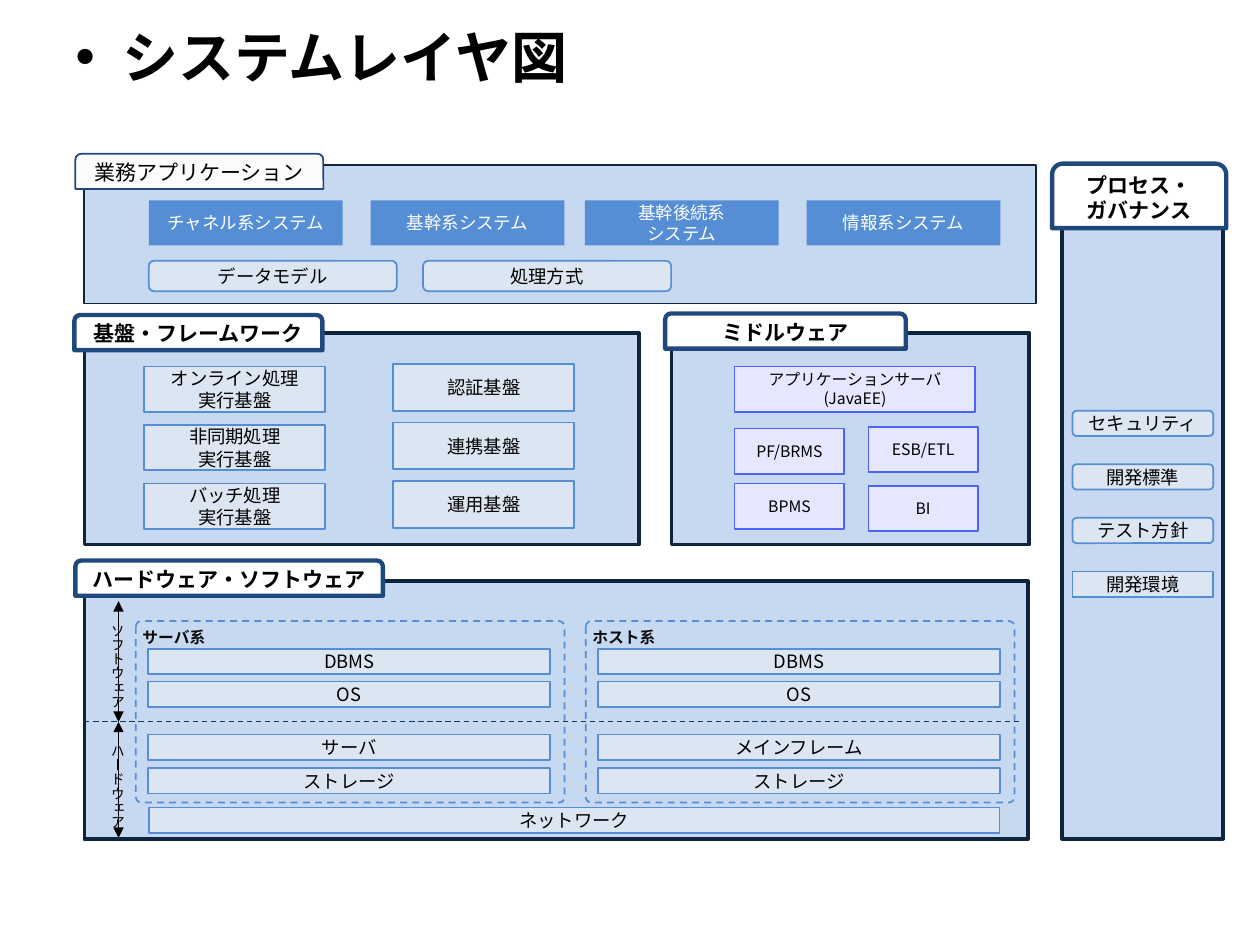
from dataclasses import dataclass

from lxml.etree import SubElement
from pptx import Presentation
from pptx.dml.color import RGBColor
from pptx.enum.dml import MSO_LINE
from pptx.enum.shapes import MSO_CONNECTOR, MSO_SHAPE
from pptx.enum.text import MSO_ANCHOR, PP_ALIGN
from pptx.oxml.ns import qn
from pptx.util import Cm, Pt


@dataclass(frozen=True)
class Theme:
    """Fonts, colours and type sizes of the slide."""
    font: str = "Noto Sans CJK JP"
    title_font: str = "Calibri"
    black: str = "000000"
    white: str = "FFFFFF"
    label: str = "0D0D0D"
    panel: str = "C6D9F1"
    panel_line: str = "0F243E"
    tab_line: str = "1F497D"
    soft: str = "FCFBF9"
    item: str = "DCE6F2"
    blue: str = "558ED5"
    lilac: str = "E4E7FE"
    violet: str = "4E62FA"
    divider: str = "17375E"
    title: float = 32
    heading: float = 12
    body: float = 10.5
    system: float = 10
    small: float = 9
    axis: float = 8


T = Theme()
RECT, ROUND = MSO_SHAPE.RECTANGLE, MSO_SHAPE.ROUNDED_RECTANGLE
TAB = MSO_SHAPE.ROUND_2_SAME_RECTANGLE
INSETS = {f"margin_{side}": Cm(0.1) for side in ("left", "top", "right", "bottom")}
ITEM = dict(fill=T.item, line=T.blue)
SYSTEM = dict(fill=T.blue, size=T.system, color=T.white)
PRODUCT = dict(fill=T.lilac, line=T.violet, size=T.small)


def add_text(sp, text, size, color=T.black, bold=False, font=T.font,
             align=PP_ALIGN.CENTER, **frame):
    """Write each line of the text as one formatted paragraph."""
    tf = sp.text_frame
    for name, value in ({"word_wrap": True} | frame).items():
        setattr(tf, name, value)
    tf.text = text
    for p in tf.paragraphs:
        p.alignment = align
        r = p.runs[0]
        for name, value in dict(name=font, size=Pt(size), bold=bold).items():
            setattr(r.font, name, value)
        r.font.color.rgb = RGBColor.from_string(color)
    for props in sp.element.iter(qn("a:rPr")):
        SubElement(props, qn("a:ea"), typeface=T.font)


def add_box(s, x, y, w, h, text="", kind=RECT, fill=None, line=None, width=1,
            size=T.body, adj=None, **fmt):
    """Draw one preset shape with its optional text."""
    sp = s.shapes.add_shape(kind, Cm(x), Cm(y), Cm(w), Cm(h))
    sp.shadow.inherit = False
    if adj is not None:
        sp.adjustments[0] = adj
    if fill:
        sp.fill.solid()
        sp.fill.fore_color.rgb = RGBColor.from_string(fill)
    else:
        sp.fill.background()
    if line:
        sp.line.color.rgb = RGBColor.from_string(line)
        sp.line.width = Pt(width)
    else:
        sp.line.fill.background()
    if text:
        frame = INSETS | dict(vertical_anchor=MSO_ANCHOR.MIDDLE)
        add_text(sp, text, size, **(frame | fmt))
    return sp


def add_line(s, x1, y1, x2, y2, color, width, dash=None, arrows=False):
    """Draw a straight line, dashed or with arrowheads at both ends."""
    cn = s.shapes.add_connector(MSO_CONNECTOR.STRAIGHT, Cm(x1), Cm(y1), Cm(x2), Cm(y2))
    cn.line.color.rgb = RGBColor.from_string(color)
    cn.line.width = Pt(width)
    if dash:
        cn.line.dash_style = dash
    props = cn.element.spPr
    if arrows:
        for end in ("a:headEnd", "a:tailEnd"):
            SubElement(props.find(qn("a:ln")), qn(end), type="triangle")
    SubElement(props, qn("a:effectLst"))


def add_panel(s, box, title, tab, width=2, tab_fill=T.white, tab_width=2.5, bold=True):
    """Draw a panel and the title tab on its top left corner."""
    x, y, w, h = box
    dx, dy, tw, th = tab
    add_box(s, x, y, w, h, fill=T.panel, line=T.panel_line, width=width)
    add_box(s, x + dx, y + dy, tw, th, title, TAB, tab_fill, T.tab_line, tab_width,
            T.heading, bold=bold, word_wrap=False)


def add_title(s, x, y, w, h):
    """Place the bulleted slide title."""
    sp = s.shapes.add_textbox(Cm(x), Cm(y), Cm(w), Cm(h))
    add_text(sp, "システムレイヤ図", T.title, bold=True, font=T.title_font,
             align=PP_ALIGN.LEFT)
    props = sp.element.find(".//" + qn("a:pPr"))
    for name, value in dict(marL=Cm(0.95), indent=-Cm(0.95)).items():
        props.set(name, str(int(value)))
    SubElement(props, qn("a:buFont"), typeface="Arial")
    SubElement(props, qn("a:buChar"), char="•")


def add_applications(s, x, y, w, h):
    """Place the business application layer."""
    add_panel(s, (x, y, w, h), "業務アプリケーション", (-0.18, -0.23, 5, 0.71),
              1, T.soft, 1, False)
    systems = {1.3: "チャネル系システム", 5.77: "基幹系システム",
               10.09: "基幹後続系\nシステム", 14.56: "情報系システム"}
    for dx, text in systems.items():
        add_box(s, x + dx, y + 0.71, 3.91, 0.91, text, **SYSTEM)
    for i, text in enumerate(("データモデル", "処理方式")):
        add_box(s, x + 1.3 + 5.53 * i, y + 1.93, 5, 0.61, text, ROUND, **ITEM)


def add_framework(s, x, y, w, h):
    """Place the platform and framework layer."""
    add_panel(s, (x, y, w, h), "基盤・フレームワーク", (-0.2, -0.36, 5, 0.71))
    columns = ((1.21, 0.68, 0.91, [f"{name}処理\n実行基盤" for name in
                                   ("オンライン", "非同期", "バッチ")]),
               (6.23, 0.63, 0.94, ["認証基盤", "連携基盤", "運用基盤"]))
    for dx, dy, height, texts in columns:
        for i, text in enumerate(texts):
            add_box(s, x + dx, y + dy + 1.18 * i, 3.65, height, text, **ITEM)


def add_middleware(s, x, y, w, h):
    """Place the middleware layer."""
    add_panel(s, (x, y, w, h), "ミドルウェア", (-0.13, -0.39, 4.85, 0.71))
    products = ((1.27, 0.68, 4.85, "アプリケーションサーバ\n(JavaEE)"),
                (1.27, 1.93, 2.21, "PF/BRMS"), (1.27, 3.04, 2.21, "BPMS"),
                (3.97, 1.9, 2.2, "ESB/ETL"), (3.97, 3.09, 2.2, "BI"))
    for dx, dy, width, text in products:
        add_box(s, x + dx, y + dy, width, 0.91, text, **PRODUCT)


def add_zone(s, x, y, w, h, title, machine):
    """Place a dashed zone with its stack of bars."""
    bars = {0.56: "DBMS", 1.22: "OS", 2.29: machine, 2.97: "ストレージ"}
    for dy, text in bars.items():
        add_box(s, x + 0.25, y + dy, 8.1, 0.51, text, **ITEM)
    sp = add_box(s, x, y, w, h, title, ROUND, line=T.blue, size=T.small, adj=0.03,
                 color=T.label, bold=True, align=PP_ALIGN.LEFT,
                 vertical_anchor=MSO_ANCHOR.TOP)
    sp.line.dash_style = MSO_LINE.DASH


def add_hardware(s, x, y, w, h):
    """Place the hardware and software layer."""
    add_panel(s, (x, y, w, h), "ハードウェア・ソフトウェア", (-0.18, -0.41, 6.2, 0.71))
    zones = ((1.04, "サーバ系", "サーバ"), (10.11, "ホスト系", "メインフレーム"))
    for dx, title, machine in zones:
        add_zone(s, x + dx, y + 0.81, 8.64, 3.66, title, machine)
    add_box(s, x + 1.3, y + 4.57, 17.15, 0.51, "ネットワーク", **ITEM)
    add_line(s, x, y + 2.84, x + 18.9, y + 2.84, T.divider, 0.75, MSO_LINE.DASH)
    axes = ((0.41, 2.84, 0.63, "ソフトウェア"), (2.84, 5.18, 3.05, "ハードウェア"))
    for top, bottom, dy, text in axes:
        add_line(s, x + 0.69, y + top, x + 0.69, y + bottom, T.black, 1, arrows=True)
        sp = s.shapes.add_textbox(Cm(x + 0.1), Cm(y + dy), Cm(0.86), Cm(1.96))
        add_text(sp, text, T.axis, align=PP_ALIGN.LEFT, word_wrap=False)
        sp.element.find(".//" + qn("a:bodyPr")).set("vert", "eaVert")


def add_governance(s, x, y, w, h):
    """Place the process and governance column."""
    add_panel(s, (x, y, w, h), "プロセス・\nガバナンス", (-0.2, -0.38, 3.51, 1.3))
    topics = (("セキュリティ", ROUND), ("開発標準", ROUND),
              ("テスト方針", ROUND), ("開発環境", RECT))
    for i, (text, kind) in enumerate(topics):
        add_box(s, x + 0.21, y + 4.6 + 1.08 * i, 2.84, 0.51, text, kind, **ITEM)


def main():
    """Build the system layer slide."""
    prs = Presentation()
    prs.slide_width, prs.slide_height = Cm(25.4), Cm(19.05)
    s = prs.slides.add_slide(prs.slide_layouts[6])
    add_title(s, 1.27, 0.33, 22.86, 16.69)
    add_applications(s, 1.7, 3.33, 19.18, 2.79)
    add_framework(s, 1.7, 6.71, 11.18, 4.27)
    add_middleware(s, 13.54, 6.71, 7.21, 4.27)
    add_hardware(s, 1.7, 11.71, 19.02, 5.21)
    add_governance(s, 21.41, 3.68, 3.25, 13.23)
    prs.save("out.pptx")


main()
